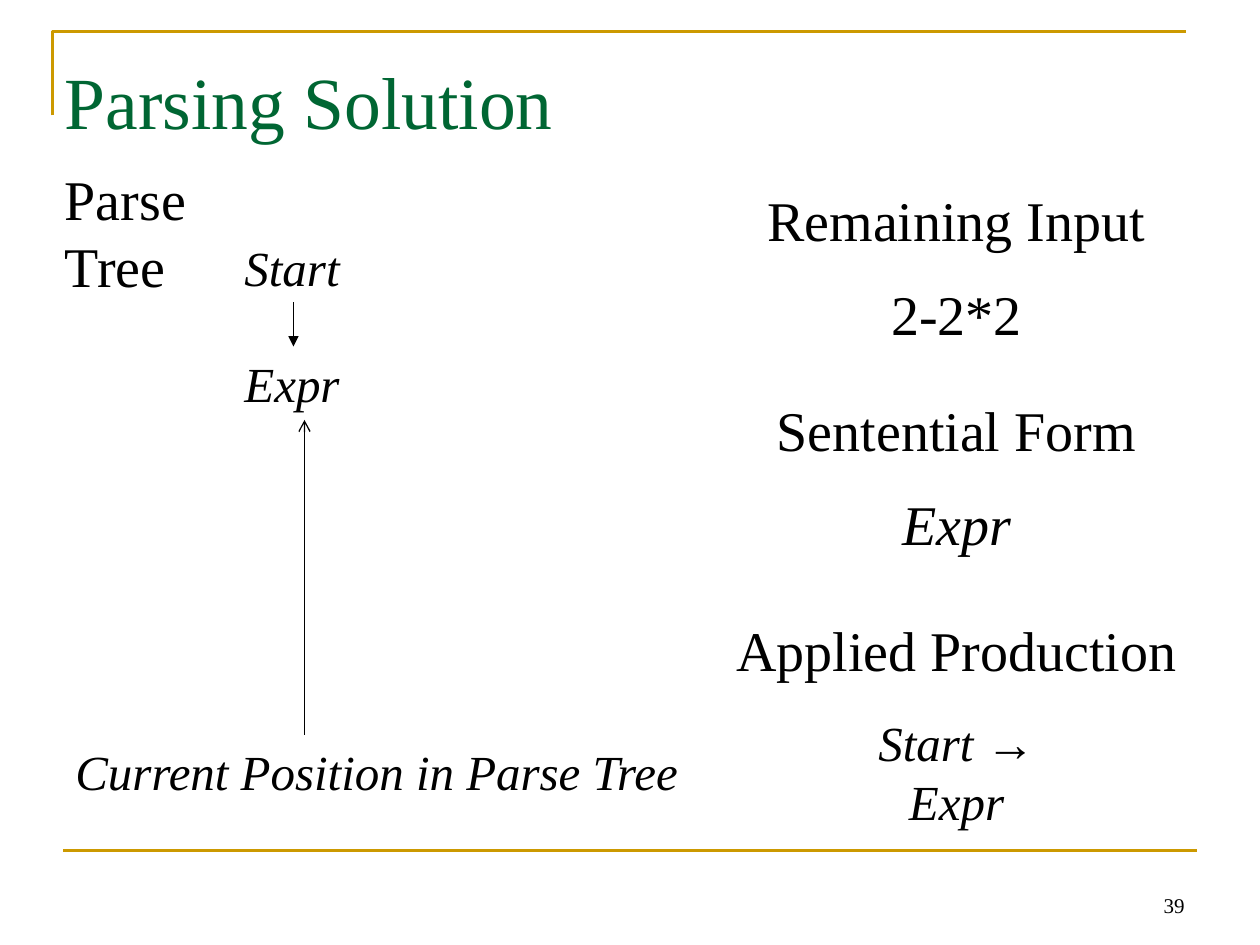
from lxml import etree
from pptx import Presentation
from pptx import util as u
from pptx.dml.color import RGBColor
from pptx.enum import shapes, text
from pptx.oxml import ns

COLUMNS, ROWS = 120, 90
CELL = u.Inches(10) // COLUMNS
SERIF, SANS = "Times New Roman", "Arial"
BLACK, WHITE, GREEN, GOLD = "000000", "FFFFFF", "006633", "CC9900"
LEFT, CENTER, RIGHT = text.PP_ALIGN.LEFT, text.PP_ALIGN.CENTER, text.PP_ALIGN.RIGHT


def cells(count):
    """Turn a number of grid cells into a length."""
    return u.Emu(round(count * CELL))


def rgb(value):
    """Turn a hex string into a colour."""
    return RGBColor.from_string(value)


def apply(target, values):
    """Set each attribute of a target from a dict."""
    for name, value in values.items():
        setattr(target, name, value)


def fill_text(shape, paragraphs, size, color=BLACK, italic=False, align=LEFT,
              anchor=text.MSO_ANCHOR.TOP, wrap=False):
    """Write paragraphs, each a list of strings, into a shape; arrows are upright sans."""
    frame = shape.text_frame
    apply(frame, {"word_wrap": wrap, "vertical_anchor": anchor})
    for index, pieces in enumerate(paragraphs):
        paragraph = frame.add_paragraph() if index else frame.paragraphs[0]
        apply(paragraph, {"alignment": align, "line_spacing": u.Pt(round(size * 1.21, 1))})
        for piece in pieces:
            run = paragraph.add_run()
            run.text = piece
            is_arrow = "→" in piece
            apply(run.font, {"size": u.Pt(size), "name": SANS if is_arrow else SERIF,
                             "italic": italic and not is_arrow})
            run.font.color.rgb = rgb(color)


def add_label(slide, box, paragraphs, size, **style):
    """Add a text box in a box given in cells."""
    label = slide.shapes.add_textbox(*map(cells, box))
    fill_text(label, paragraphs, size, **style)
    return label


def add_node(slide, box, wording):
    """Add a white rectangle with italic wording."""
    node = slide.shapes.add_shape(shapes.MSO_SHAPE.RECTANGLE, *map(cells, box))
    node.shadow.inherit = False
    node.fill.solid()
    node.fill.fore_color.rgb = rgb(WHITE)
    node.line.fill.background()
    fill_text(node, [[wording]], 28, italic=True)
    return node


def add_line(slide, start, end, color, width, head=None):
    """Add a straight connector between two grid points."""
    line = slide.shapes.add_connector(shapes.MSO_CONNECTOR.STRAIGHT, *map(cells, start + end))
    line.line.color.rgb = rgb(color)
    line.line.width = u.Pt(width)
    if head:
        etree.SubElement(line.line._get_or_add_ln(), ns.qn("a:tailEnd"), type=head)
    etree.SubElement(line._element.spPr, ns.qn("a:effectLst"))
    return line


def draw_frame(slide, box, number):
    """Draw the gold corner, the footer rule and the page number."""
    left, top, width, height = box
    corner = slide.shapes.build_freeform(cells(left), cells(top + 8))
    corner.add_line_segments([(cells(left), cells(top)), (cells(left + width), cells(top))],
                             close=False)
    outline = corner.convert_to_shape()
    outline.shadow.inherit = False
    outline.fill.background()
    outline.line.color.rgb = rgb(GOLD)
    outline.line.width = u.Pt(1.5)
    bottom = top + height
    add_line(slide, (left + 1, bottom), (left + 1 + width, bottom), GOLD, 1.5)
    add_label(slide, (left + width - 27, bottom + 1, 28, 6), [[number]], 12,
              align=RIGHT, anchor=text.MSO_ANCHOR.BOTTOM, wrap=True)


def draw_title(slide, box, wording):
    """Write the slide title."""
    add_label(slide, box, [[wording]], 42, color=GREEN,
              anchor=text.MSO_ANCHOR.MIDDLE, wrap=True)


def draw_parse_tree(slide, box):
    """Draw the parse tree with its position marker."""
    left, top, width, height = box
    node_left, node_width, node_height = left + 17.1, 11.7, 6.8
    node_middle = node_left + node_width / 2
    add_label(slide, (left, top, 15.6, 14), [["Parse"], ["Tree"]], 32)
    start = add_label(slide, (node_left, top + 7, node_width, node_height), [["Start"]], 28,
                      italic=True)
    expr = add_node(slide, (node_left, top + 18, node_width, node_height), "Expr")
    derivation = add_line(slide, (node_middle, top + 7 + node_height),
                          (node_middle, top + 18), BLACK, 0.75, "triangle")
    derivation.begin_connect(start, 2)
    derivation.end_connect(expr, 0)
    marker_top = top + height - node_height
    add_node(slide, (left + 1, marker_top, width - 1, node_height),
             "Current Position in Parse Tree")
    add_line(slide, (left + 24, marker_top), (left + 24, top + 25), BLACK, 0.75, "arrow")


def draw_state(slide, box):
    """Write the parser state as centred headings with their values."""
    left, top, width, _ = box
    rows = [
        (0, 39, ["Remaining Input"], 32, False),
        (9, 15.4, ["2-2*2"], 32, False),
        (20, 37.2, ["Sentential Form"], 32, False),
        (29, 13.3, ["Expr"], 32, True),
        (41, 45, ["Applied Production"], 32, False),
        (50.2, 26.6, ["Start ", "→ ", "Expr"], 28, True),
    ]
    for offset, span, pieces, size, italic in rows:
        place = (left + (width - span) / 2, top + offset, span, 7.7 if size == 32 else 6.8)
        add_label(slide, place, [pieces], size, italic=italic, align=CENTER,
                  wrap=len(pieces) > 1)


def main():
    """Build and save the slide."""
    deck = Presentation()
    apply(deck, {"slide_width": cells(COLUMNS), "slide_height": cells(ROWS)})
    slide = deck.slides.add_slide(deck.slide_layouts[6])
    draw_frame(slide, (5, 3, 108, 78), "39")
    draw_title(slide, (5, 2, 110, 15), "Parsing Solution")
    draw_parse_tree(slide, (5, 15, 61.8, 61.8))
    draw_state(slide, (68.6, 17, 45, 57))
    deck.save("out.pptx")


if __name__ == "__main__":
    main()
